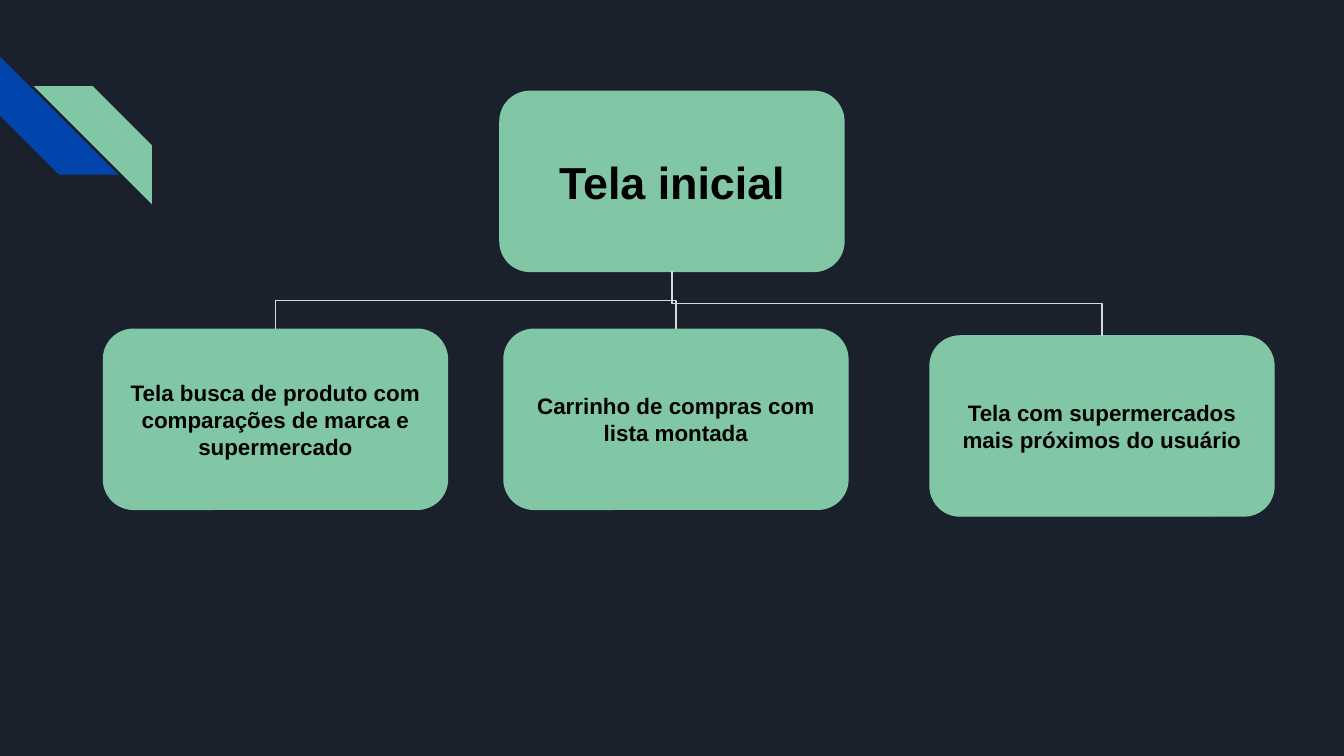
import pptx
import pptx.dml.color
import pptx.enum.shapes
import pptx.enum.text
import pptx.oxml.ns
import pptx.oxml.xmlchemy
import pptx.util

Inches = pptx.util.Inches
KINDS = pptx.enum.shapes.MSO_SHAPE
DARK, GREEN, BLUE, GREY, BLACK = "1B212C", "82C7A5", "0145AC", "D9D9D9", "000000"
BOX_W, BOX_H = 2.56, 1.34
SCREENS = [
    (0.77, 2.45, "Tela busca de produto com comparações de marca e supermercado"),
    (3.75, 2.45, "Carrinho de compras com lista montada"),
    (6.92, 2.5, "Tela com supermercados mais próximos do usuário"),
]


def tint(part, code):
    """Give a fill or a line a solid colour."""
    part.solid()
    part.fore_color.rgb = pptx.dml.color.RGBColor.from_string(code)


def write(shape, text, size=12, bold=True, color=BLACK, font="Arial"):
    """Put centred text in a shape."""
    frame = shape.text_frame
    frame.word_wrap = True
    frame.vertical_anchor = pptx.enum.text.MSO_ANCHOR.MIDDLE
    frame.margin_left = frame.margin_right = Inches(0.1)
    frame.margin_top = frame.margin_bottom = Inches(0.1)
    para = frame.paragraphs[0]
    para.alignment = pptx.enum.text.PP_ALIGN.CENTER
    run = para.add_run()
    run.text = text
    run.font.name = font
    run.font.size = pptx.util.Pt(size)
    run.font.bold = bold
    tint(run.font.fill, color)


def frame_of(shape):
    return shape.element.spPr.find(pptx.oxml.ns.qn("a:xfrm"))


def add_stripe(slide, left, top, color, turn=0, flip=False):
    """Draw one diagonal stripe of the corner mark."""
    stripe = slide.shapes.add_shape(
        KINDS.DIAGONAL_STRIPE, Inches(left), Inches(top), Inches(0.88), Inches(0.88))
    stripe.shadow.inherit = False
    stripe.adjustments[0] = 0.5
    stripe.rotation = turn
    tint(stripe.fill, color)
    stripe.line.fill.background()
    if flip:
        frame_of(stripe).set("flipH", "1")


def add_box(slide, left, top, text, **style):
    """Draw one screen of the tree."""
    box = slide.shapes.add_shape(
        KINDS.ROUNDED_RECTANGLE, Inches(left), Inches(top), Inches(BOX_W), Inches(BOX_H))
    box.shadow.inherit = False
    tint(box.fill, GREEN)
    tint(box.line.fill, GREEN)
    box.line.width = pptx.util.Pt(0.75)
    write(box, text, **style)
    return box


def add_link(slide, root, child):
    """Join the bottom of the root to the top of a child, bending halfway."""
    x, y = root.left + root.width // 2, root.top + root.height
    end, low = child.left + child.width // 2, child.top
    link = slide.shapes.add_connector(
        pptx.enum.shapes.MSO_CONNECTOR.ELBOW, x, y, end, low)
    link.begin_connect(root, 2)
    link.end_connect(child, 0)

    # A vertical elbow is a horizontal one turned about its centre
    right = end > x
    link.width, link.height = low - y, abs(end - x)
    link.left = (x + end - link.width) // 2
    link.top = (y + low - link.height) // 2
    frame = frame_of(link)
    frame.set("rot", str((270 if right else 90) * 60000))
    frame.set("flipH", "1" if right else "0")
    frame.set("flipV", "0")

    tint(link.line.fill, GREY)
    link.line.width = pptx.util.Pt(0.75)
    link.element.spPr.append(pptx.oxml.xmlchemy.OxmlElement("a:effectLst"))


def main():
    # Widescreen slide, 16 to 9
    deck = pptx.Presentation()
    deck.slide_width, deck.slide_height = Inches(10), Inches(10 * 9 / 16)
    slide = deck.slides.add_slide(deck.slide_layouts[6])
    tint(slide.background.fill, DARK)

    # Corner mark
    add_stripe(slide, 0, 0.42, BLUE, turn=270)
    add_stripe(slide, 0.25, 0.64, GREEN, flip=True)

    # Screens and the links between them
    root = add_box(slide, 3.72, 0.68, "Tela inicial", size=24)
    boxes = [add_box(slide, *screen) for screen in SCREENS]
    for box in reversed(boxes):
        add_link(slide, root, box)

    deck.save("out.pptx")


if __name__ == "__main__":
    main()
